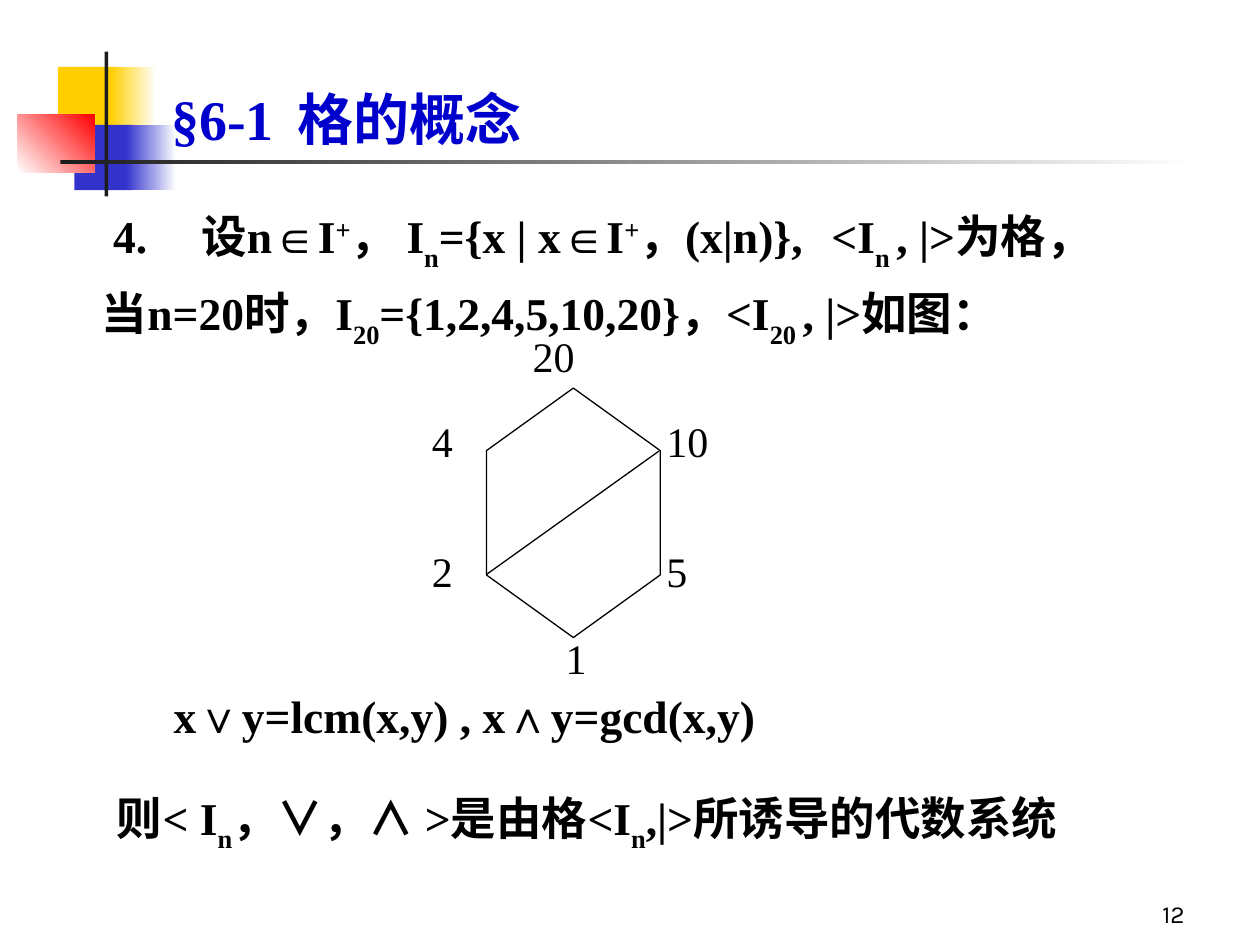
from dataclasses import dataclass

from lxml.etree import SubElement
from pptx import Presentation
from pptx.dml.color import RGBColor
from pptx.enum.shapes import MSO_CONNECTOR, MSO_SHAPE
from pptx.enum.text import MSO_ANCHOR, PP_ALIGN
from pptx.oxml.ns import qn
from pptx.util import Inches, Pt


@dataclass(frozen=True)
class Theme:
    serif: str = "Times New Roman"
    sans: str = "Karla"
    ink: str = "000000"
    title: str = "0000CC"
    yellow: str = "FFCF01"
    blue: str = "3333CC"
    red: str = "FF0000"
    dark: str = "1C1C1C"
    white: str = "FFFFFF"
    title_size: int = 32
    body_size: int = 26
    label_size: int = 24
    number_size: int = 14


THEME = Theme()
SUB, SUP = -30000, 30000


def rgb(value):
    return RGBColor.from_string(value)


def add_block(s, x, y, w, h, start, end=None, angle=0):
    """Add a borderless rectangle, solid or fading from start to end."""
    sp = s.shapes.add_shape(MSO_SHAPE.RECTANGLE, Inches(x), Inches(y), Inches(w), Inches(h))
    sp.shadow.inherit = False
    sp.line.fill.background()
    if end is None:
        sp.fill.solid()
        sp.fill.fore_color.rgb = rgb(start)
        return
    sp.fill.gradient()
    sp.fill.gradient_angle = angle
    for stop, color in zip(sp.fill.gradient_stops, (start, end)):
        stop.color.rgb = rgb(color)


def add_text_frame(s, x, y, w, h, anchor=MSO_ANCHOR.TOP):
    tf = s.shapes.add_textbox(Inches(x), Inches(y), Inches(w), Inches(h)).text_frame
    tf.word_wrap = True
    tf.vertical_anchor = anchor
    return tf


def write(p, parts, size, color=THEME.ink, font=THEME.serif, bold=False):
    """Fill a paragraph from strings and (text, baseline) pairs."""
    for part in parts:
        text, baseline = (part, None) if isinstance(part, str) else part
        r = p.add_run()
        r.text = text
        formats = {"size": Pt(size), "name": font, "bold": bold}
        for name, value in formats.items():
            setattr(r.font, name, value)
        r.font.color.rgb = rgb(color)
        if baseline:
            r.font._element.set("baseline", str(baseline))


def set_layout(p, indent=0, tabs=()):
    """Set the first-line indent and tab stops, in inches from the text edge."""
    pPr = p._p.get_or_add_pPr()
    pPr.set("marL", "0")
    pPr.set("indent", str(Inches(indent)))
    if tabs:
        tab_list = SubElement(pPr, qn("a:tabLst"))
        for tab in tabs:
            SubElement(tab_list, qn("a:tab"), pos=str(Inches(tab)), algn="l")


def add_paragraphs(tf, lines, line_spacing, space_before=0):
    """Write body lines given as (indent, tabs, parts)."""
    for i, (indent, tabs, parts) in enumerate(lines):
        p = tf.paragraphs[0] if i == 0 else tf.add_paragraph()
        p.line_spacing = line_spacing
        p.space_before = Pt(space_before)
        set_layout(p, indent, tabs)
        write(p, parts, THEME.body_size, bold=True)


def add_ornament(s, x, y):
    add_block(s, x + 0.32, y + 0.12, 0.48, 0.52, THEME.yellow)
    add_block(s, x + 0.74, y + 0.12, 0.36, 0.52, THEME.yellow, THEME.white)
    add_block(s, x + 0.45, y + 0.58, 0.46, 0.52, THEME.blue)
    add_block(s, x + 0.86, y + 0.58, 0.4, 0.52, THEME.blue, THEME.white)
    add_block(s, x, y + 0.5, 0.61, 0.46, THEME.white, THEME.red, angle=45)
    add_block(s, x + 0.69, y, 0.03, 1.15, THEME.dark)
    add_block(s, x + 0.34, y + 0.86, 9, 0.03, THEME.dark, THEME.white)


def add_title(s, x, y, w, h):
    p = add_text_frame(s, x, y, w, h, MSO_ANCHOR.BOTTOM).paragraphs[0]
    set_layout(p, tabs=[1.16])
    write(p, ["§6-1\t格的概念"], THEME.title_size, THEME.title, bold=True)


def add_definition(s, x, y, w, h):
    lines = [
        (0.3, [0.85, 6.42], [
            "4.\t设n∈I", ("+", SUP), "， I", ("n", SUB), "={x | x∈I", ("+", SUP),
            "，(x|n)},\t<I", ("n ", SUB), ", |>为格，"]),
        (0.21, [], [
            "当n=20时，I", ("20", SUB), "={1,2,4,5,10,20}，<I", ("20 ", SUB),
            ", |>如图："]),
    ]
    add_paragraphs(add_text_frame(s, x, y, w, h), lines, 1.2)


def add_hasse_diagram(s, x, y):
    """Draw the divisor lattice of 20."""
    sp = s.shapes.add_shape(MSO_SHAPE.HEXAGON, Inches(x + 0.23), Inches(y + 0.81),
                            Inches(1.98), Inches(1.38))
    sp.rotation = 90
    sp.adjustments[0] = 0.36
    sp.shadow.inherit = False
    sp.fill.background()
    edge = s.shapes.add_connector(MSO_CONNECTOR.STRAIGHT, Inches(x + 1.9), Inches(y + 1.01),
                                  Inches(x + 0.53), Inches(y + 1.99))
    SubElement(edge._element.spPr, qn("a:effectLst"))
    for outline in (sp.line, edge.line):
        outline.color.rgb = rgb(THEME.ink)
        outline.width = Pt(0.75)

    labels = [("20", 0.8, 0), ("4", 0, 0.68), ("10", 1.86, 0.68),
              ("2", 0, 1.71), ("5", 1.86, 1.71), ("1", 1.06, 2.4)]
    for text, dx, dy in labels:
        p = add_text_frame(s, x + dx, y + dy, 0.8, 0.52).paragraphs[0]
        p.alignment = PP_ALIGN.JUSTIFY
        write(p, [text], THEME.label_size)


def add_conclusion(s, x, y, w, h):
    lines = [
        (0.45, [], ["x∨y=lcm(x,y) , x∧y=gcd(x,y)"]),
        (0, [], ["则< I", ("n", SUB), "，∨，∧ >是由格<I", ("n", SUB), ",|>所诱导的代数系统"]),
    ]
    add_paragraphs(add_text_frame(s, x, y, w, h), lines, 1.6, space_before=5)


def add_page_number(s, x, y, w, h):
    p = add_text_frame(s, x, y, w, h, MSO_ANCHOR.BOTTOM).paragraphs[0]
    p.alignment = PP_ALIGN.RIGHT
    write(p, ["12"], THEME.number_size, font=THEME.sans)


def main():
    prs = Presentation()
    prs.slide_width, prs.slide_height = Inches(10), Inches(7.5)
    s = prs.slides.add_slide(prs.slide_layouts[6])
    add_ornament(s, 0.14, 0.41)
    add_page_number(s, 7.42, 6.92, 2.08, 0.5)
    add_title(s, 1.26, 0, 8.52, 1.25)
    add_definition(s, 0.5, 1.5, 9.08, 2.08)
    add_hasse_diagram(s, 3.33, 2.57)
    add_conclusion(s, 0.83, 5.15, 8.58, 1.58)
    prs.save("out.pptx")


if __name__ == "__main__":
    main()
